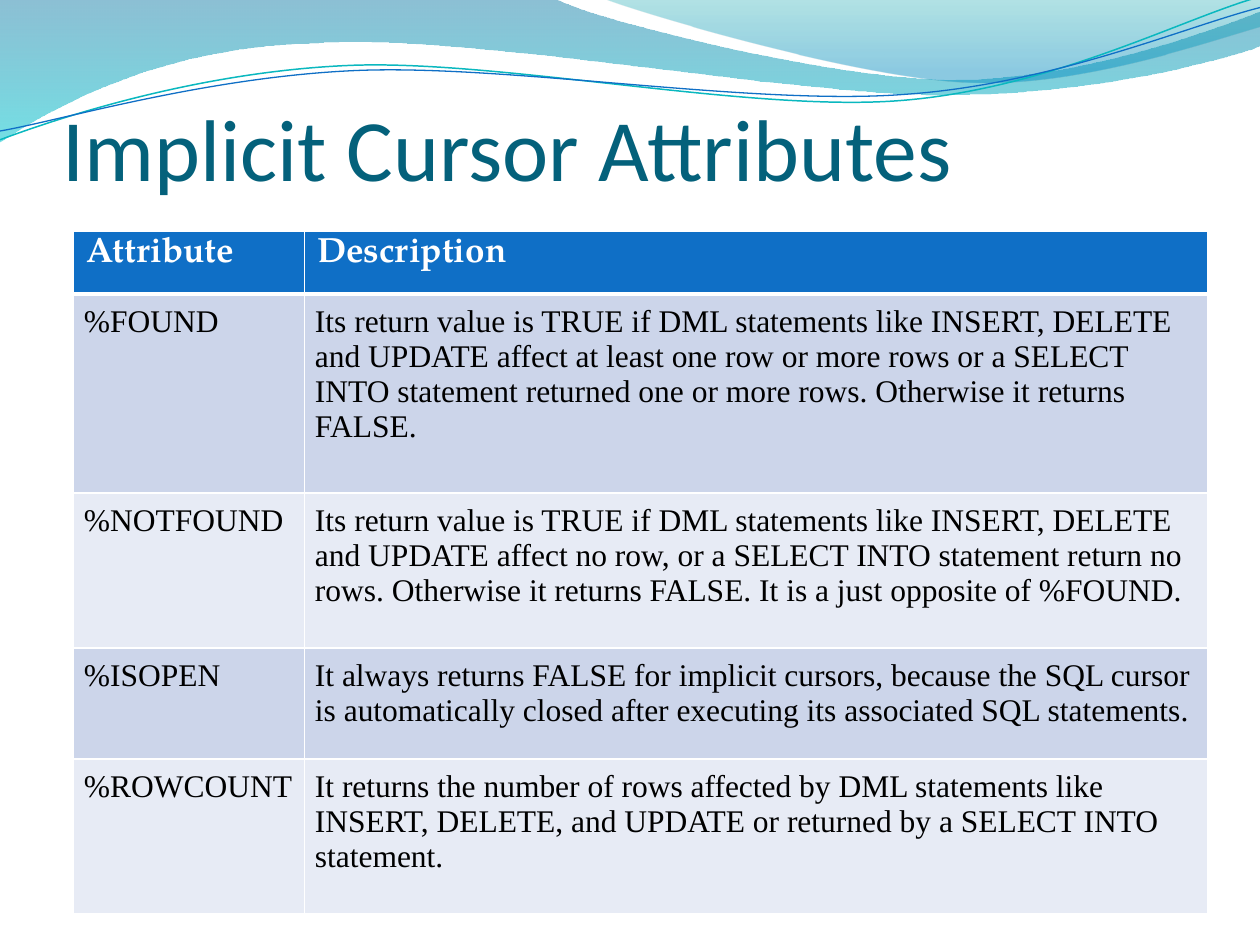
from lxml import etree
from pptx import Presentation
from pptx.dml.color import RGBColor
from pptx.enum import text
from pptx.oxml import ns
from pptx.util import Inches, Pt

WHITE = RGBColor(0xFF, 0xFF, 0xFF)
BLACK = RGBColor(0x00, 0x00, 0x00)
TITLE_TEAL = RGBColor(0x04, 0x61, 0x7B)
BLUE = RGBColor(0x0F, 0x6F, 0xC6)
TEAL = RGBColor(0x0A, 0xB8, 0xBF)
BAND_DARK = RGBColor(0xCC, 0xD5, 0xEA)
BAND_LIGHT = RGBColor(0xE7, 0xEB, 0xF5)
WAVE_BLUE = RGBColor(0x00, 0x74, 0xA1)
WAVE_CYAN = RGBColor(0x00, 0xC6, 0xCF)
CREST_TEAL = RGBColor(0x00, 0xA1, 0xA9)
CREST_BLUE = RGBColor(0x00, 0x8B, 0xBF)

presentation = Presentation()
presentation.slide_width = Inches(10)
presentation.slide_height = Inches(7.5)
slide = presentation.slides.add_slide(presentation.slide_layouts[6])


def add_outline(start, segments, close):
    """Draw segments of one point (straight) or three points (cubic Bézier)."""
    points = [(Inches(x), Inches(y)) for segment in segments for x, y in segment]
    builder = slide.shapes.build_freeform(Inches(start[0]), Inches(start[1]))
    builder.add_line_segments(points, close=close)
    shape = builder.convert_to_shape()
    shape.shadow.inherit = False
    lines = iter(shape.element.findall(".//" + ns.qn("a:lnTo")))
    for segment in segments:
        first, *others = [next(lines) for point in segment]
        if others:
            first.tag = ns.qn("a:cubicBezTo")
            for other in others:
                first.append(other[0])
                other.getparent().remove(other)
    return shape


# Waves: start, segments, then gradient stops as (position, colour, opacity) in percent
waves = [
    ((0, 0),
     [[(4.4, -0.01)],
      [(4.76, 0.17), (6.64, 0.63), (7.58, 0.63)],
      [(8.53, 0.63), (9.58, 0.26), (10, 0.09)],
      [(10.01, 0.36)],
      [(9.83, 0.44), (8.7, 0.76), (7.46, 0.75)],
      [(6.22, 0.75), (3.82, 0.28), (2.57, 0.34)],
      [(1.29, 0.36), (0.46, 0.83), (-0.01, 1.13)]],
     [(0, WAVE_BLUE, 45), (100, WAVE_CYAN, 55)]),
    ((4.79, -0.01),
     [[(5.09, 0.11), (6.82, 0.62), (7.69, 0.65)],
      [(8.56, 0.69), (9.61, 0.32), (10, 0.21)],
      [(10, 0)]],
     [(0, CREST_TEAL, 30), (80, CREST_BLUE, 45)]),
]
for start, segments, stops in waves:
    wave = add_outline(start, segments, True)
    wave.line.fill.background()
    wave.fill.gradient()
    wave.fill.gradient_angle = 270
    for stop, (position, color, opacity) in zip(wave.fill.gradient_stops, stops):
        stop.position = position / 100
        stop.color.rgb = color
    color_elements = wave.element.findall(".//" + ns.qn("a:gs") + "/" + ns.qn("a:srgbClr"))
    for color_element, (position, color, opacity) in zip(color_elements, stops):
        etree.SubElement(color_element, ns.qn("a:alpha"), val=str(opacity * 1000))

curves = [
    ((0, 1.11),
     [[(0.48, 0.93), (1.58, 0.57), (2.77, 0.52)],
      [(3.95, 0.47), (5.93, 0.89), (7.13, 0.8)],
      [(8.33, 0.71), (9.38, 0.15), (9.98, -0.02)]], TEAL, 0.85),
    ((0, 1.04),
     [[(0.47, 0.96), (1.64, 0.61), (2.83, 0.56)],
      [(4.03, 0.51), (5.97, 0.84), (7.17, 0.75)],
      [(8.36, 0.67), (9.41, 0.21), (10, 0.06)]], BLUE, 0.75),
]
for start, segments, color, width in curves:
    curve = add_outline(start, segments, False)
    curve.fill.background()
    curve.line.color.rgb = color
    curve.line.width = Pt(width)


def write_text(paragraph, content, color, **font_format):
    run = paragraph.add_run()
    run.text = content
    run.font.color.rgb = color
    for name, value in font_format.items():
        setattr(run.font, name, value)


title = slide.shapes.add_textbox(Inches(0.5), Inches(0.33), Inches(9), Inches(1.25))
title_format = {
    "word_wrap": True, "vertical_anchor": text.MSO_ANCHOR.BOTTOM,
    "margin_left": 0, "margin_right": 0,
    "margin_top": Inches(0.05), "margin_bottom": 0,
}
for name, value in title_format.items():
    setattr(title.text_frame, name, value)
write_text(title.text_frame.paragraphs[0], "Implicit Cursor Attributes",
           TITLE_TEAL, name="Calibri", size=Pt(50))

rows = [
    ("Attribute", "Description"),
    ("%FOUND", "Its return value is TRUE if DML statements like INSERT, DELETE and UPDATE "
     "affect at least one row or more rows or a SELECT INTO statement returned one or more "
     "rows. Otherwise it returns FALSE."),
    ("%NOTFOUND", "Its return value is TRUE if DML statements like INSERT, DELETE and UPDATE "
     "affect no row, or a SELECT INTO statement return no rows. Otherwise it returns FALSE. "
     "It is a just opposite of %FOUND."),
    ("%ISOPEN", "It always returns FALSE for implicit cursors, because the SQL cursor is "
     "automatically closed after executing its associated SQL statements."),
    ("%ROWCOUNT", "It returns the number of rows affected by DML statements like INSERT, "
     "DELETE, and UPDATE or returned by a SELECT INTO statement."),
]
# The table sits on a grid of twelfths of an inch
table = slide.shapes.add_table(
    len(rows), 2, Inches(7 / 12), Inches(22 / 12), Inches(9), Inches(65 / 12)).table
for column, twelfths in zip(table.columns, (22, 86)):
    column.width = Inches(twelfths / 12)
for row, height in zip(table.rows, (0.5, 1.58, 1.23, 0.88, 1.23)):
    row.height = Inches(height)

header_font = {"name": "TeX Gyre Pagella", "size": Pt(20), "bold": True}
body_font = {"name": "Times New Roman", "size": Pt(18), "bold": False}
for row_index, contents in enumerate(rows):
    is_header = row_index == 0
    fill = BLUE if is_header else (BAND_LIGHT, BAND_DARK)[row_index % 2]
    for column_index, content in enumerate(contents):
        cell = table.cell(row_index, column_index)
        cell.fill.solid()
        cell.fill.fore_color.rgb = fill
        if not is_header:
            for side in ("left", "right", "top", "bottom"):
                setattr(cell, "margin_" + side, Inches(1 / 12))
        write_text(cell.text_frame.paragraphs[0], content, WHITE if is_header else BLACK,
                   **(header_font if is_header else body_font))
        properties = cell._tc.get_or_add_tcPr()
        for position, edge in enumerate(("lnL", "lnR", "lnT", "lnB")):
            at_header_rule = (row_index, edge) in ((0, "lnB"), (1, "lnT"))
            border = etree.Element(ns.qn("a:" + edge), w=str(Pt(3 if at_header_rule else 1)))
            border_fill = etree.SubElement(border, ns.qn("a:solidFill"))
            etree.SubElement(border_fill, ns.qn("a:srgbClr"), val=str(WHITE))
            properties.insert(position, border)

presentation.save("out.pptx")
